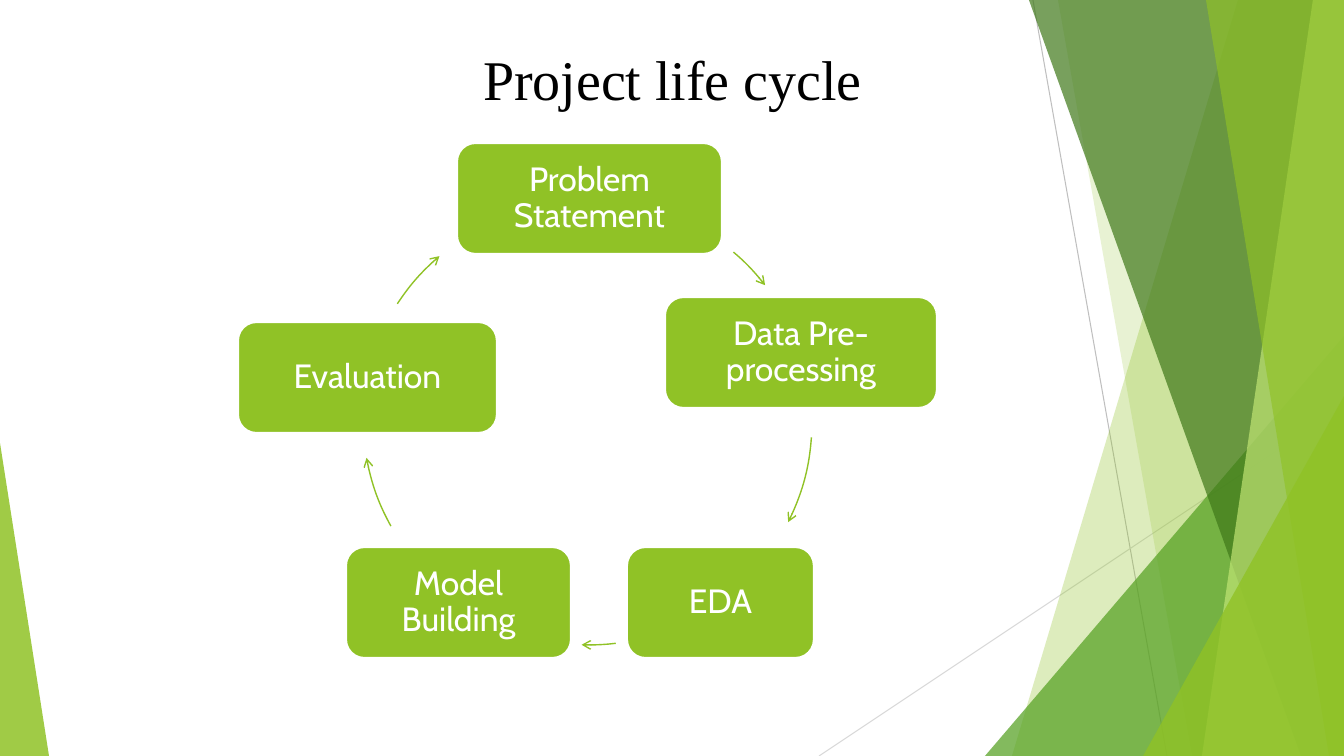
import dataclasses

import pptx
import pptx.dml.color
import pptx.enum.shapes
import pptx.enum.text
import pptx.oxml.ns
import pptx.util
from lxml import etree

SHAPES = pptx.enum.shapes.MSO_SHAPE
ALIGN = pptx.enum.text.PP_ALIGN
ANCHOR = pptx.enum.text.MSO_ANCHOR
SLIDE_WIDTH, SLIDE_HEIGHT = 1344, 756
EMU_PER_PX = 914400 / 100.8


@dataclasses.dataclass(frozen=True)
class Theme:
    lime: str = "90C226"
    pale_lime: str = "C0E474"
    leaf: str = "54A021"
    forest: str = "3F7819"
    gray: str = "BFBFBF"
    light_gray: str = "D9D9D9"
    white: str = "FFFFFF"
    black: str = "000000"
    title_font: str = "Times New Roman"
    step_font: str = "Cabin"
    title_size: int = 40
    step_size: int = 24


THEME = Theme()


def px(*lengths):
    return [pptx.util.Emu(round(length * EMU_PER_PX)) for length in lengths]


def rgb(color):
    return pptx.dml.color.RGBColor.from_string(color)


def set_all(target, values):
    for name, value in values.items():
        setattr(target, name, value)


def set_line(shape, color, width):
    shape.line.color.rgb = rgb(color)
    shape.line.width = pptx.util.Pt(width)


def set_fill(shape, color, opacity=100):
    """Fill with a colour at an opacity in percent."""
    shape.shadow.inherit = False
    shape.fill.solid()
    shape.fill.fore_color.rgb = rgb(color)
    if opacity < 100:
        swatch = shape.fill._xPr.find(".//" + pptx.oxml.ns.qn("a:srgbClr"))
        etree.SubElement(swatch, pptx.oxml.ns.qn("a:alpha"), val=str(opacity * 1000))


def set_text(shape, text, font, frame, paragraph):
    set_all(shape.text_frame, frame)
    line = shape.text_frame.paragraphs[0]
    set_all(line, paragraph)
    run = line.add_run()
    run.text = text
    name, size, color = font
    set_all(run.font, {"name": name, "size": pptx.util.Pt(size)})
    run.font.color.rgb = rgb(color)


def add_hairline(slide, start, end, color):
    line = slide.shapes.add_connector(
        pptx.enum.shapes.MSO_CONNECTOR.STRAIGHT, *px(*start, *end))
    set_line(line, color, 0.75)
    etree.SubElement(line._element.spPr, pptx.oxml.ns.qn("a:effectLst"))


def add_band(slide, box, top_x, bottom_x, color, opacity):
    """Band from a slanted left edge to the right edge of the box."""
    left, top, width, height = box
    right, bottom = left + width, top + height
    corners = [(right, top), (right, bottom), (left + bottom_x, bottom)]
    builder = slide.shapes.build_freeform(*px(left + top_x, top))
    builder.add_line_segments([px(*corner) for corner in corners], close=True)
    band = builder.convert_to_shape()
    set_fill(band, color, opacity)
    band.line.fill.background()


def add_wedge(slide, box, apex, color, opacity):
    wedge = slide.shapes.add_shape(SHAPES.ISOSCELES_TRIANGLE, *px(*box))
    wedge.adjustments[0] = apex
    set_fill(wedge, color, opacity)
    wedge.line.fill.background()


def add_backdrop(slide, box):
    left, top, width, height = box
    right, bottom = left + width, top + height
    add_hairline(slide, (left + 1033, top), (left + 1167, bottom), THEME.gray)
    add_hairline(slide, (right, top + 406), (left + 819, bottom), THEME.light_gray)

    def add_right_wedge(wide, high, color, opacity):
        add_wedge(slide, (right - wide, bottom - high, wide, high), 1, color, opacity)

    add_band(slide, box, 1238, 1012, THEME.lime, 30)
    add_band(slide, box, 1058, 1192, THEME.lime, 20)
    add_right_wedge(359, 420, THEME.leaf, 72)
    add_band(slide, box, 1029, 1301, THEME.forest, 70)
    add_band(slide, box, 1313, 1202, THEME.pale_lime, 70)
    add_band(slide, box, 1206, 1329, THEME.lime, 65)
    add_right_wedge(201, 360, THEME.lime, 80)
    add_wedge(slide, (left, bottom - 313, 49, 313), 0, THEME.lime, 85)


def add_title(slide, box, text):
    title = slide.shapes.add_textbox(*px(*box))
    set_text(title, text, (THEME.title_font, THEME.title_size, THEME.black),
             {"word_wrap": True, "vertical_anchor": ANCHOR.TOP},
             {"alignment": ALIGN.CENTER})


def add_step(slide, box, text):
    step = slide.shapes.add_shape(SHAPES.ROUNDED_RECTANGLE, *px(*box))
    set_fill(step, THEME.lime)
    set_line(step, THEME.white, 1.5)
    inset = px(15)[0]
    frame = {f"margin_{side}": inset for side in ("left", "right", "top", "bottom")}
    frame |= {"word_wrap": True, "vertical_anchor": ANCHOR.MIDDLE}
    set_text(step, text, (THEME.step_font, THEME.step_size, THEME.white),
             frame, {"alignment": ALIGN.CENTER, "line_spacing": 0.9})


def add_arc_arrow(slide, center, radius, start, end):
    """Clockwise arrow on a circle, angles in degrees from three o'clock."""
    x, y = center
    arc = slide.shapes.add_shape(
        SHAPES.ARC, *px(x - radius, y - radius, 2 * radius, 2 * radius))
    arc.shadow.inherit = False
    arc.fill.background()
    for index, angle in enumerate((start, end)):
        arc.adjustments[index] = angle * 60000 / 100000
    set_line(arc, THEME.lime, 1)
    etree.SubElement(arc.line._get_or_add_ln(), pptx.oxml.ns.qn("a:tailEnd"), type="arrow")


def add_cycle(slide, box):
    left, top, _, _ = box
    step_height, radius = 111, 223
    # Step: text, left, top, width; arrow after it: centre, start and end angle
    cycle = [
        ("Problem Statement", 219, 0, 265, (351, 279), 310.4, 322.2),
        ("Data Pre-processing", 427, 154, 272, (351, 279), 4, 26.7),
        ("EDA", 389, 404, 187, (351, 279), 83.1, 91.9),
        ("Model Building", 108, 404, 225, (348, 275), 151, 169.7),
        ("Evaluation", 0, 179, 259, (346, 283), 213.2, 229.6),
    ]
    for text, x, y, width, (center_x, center_y), start, end in cycle:
        add_step(slide, (left + x, top + y, width, step_height), text)
        add_arc_arrow(slide, (left + center_x, top + center_y), radius, start, end)


def main():
    deck = pptx.Presentation()
    deck.slide_width, deck.slide_height = px(SLIDE_WIDTH, SLIDE_HEIGHT)
    slide = deck.slides.add_slide(deck.slide_layouts[6])
    add_backdrop(slide, (0, 0, SLIDE_WIDTH, SLIDE_HEIGHT))
    add_title(slide, (93, 40, 1159, 92), "Project life cycle")
    add_cycle(slide, (238, 143, 699, 515))
    deck.save("out.pptx")


if __name__ == "__main__":
    main()
